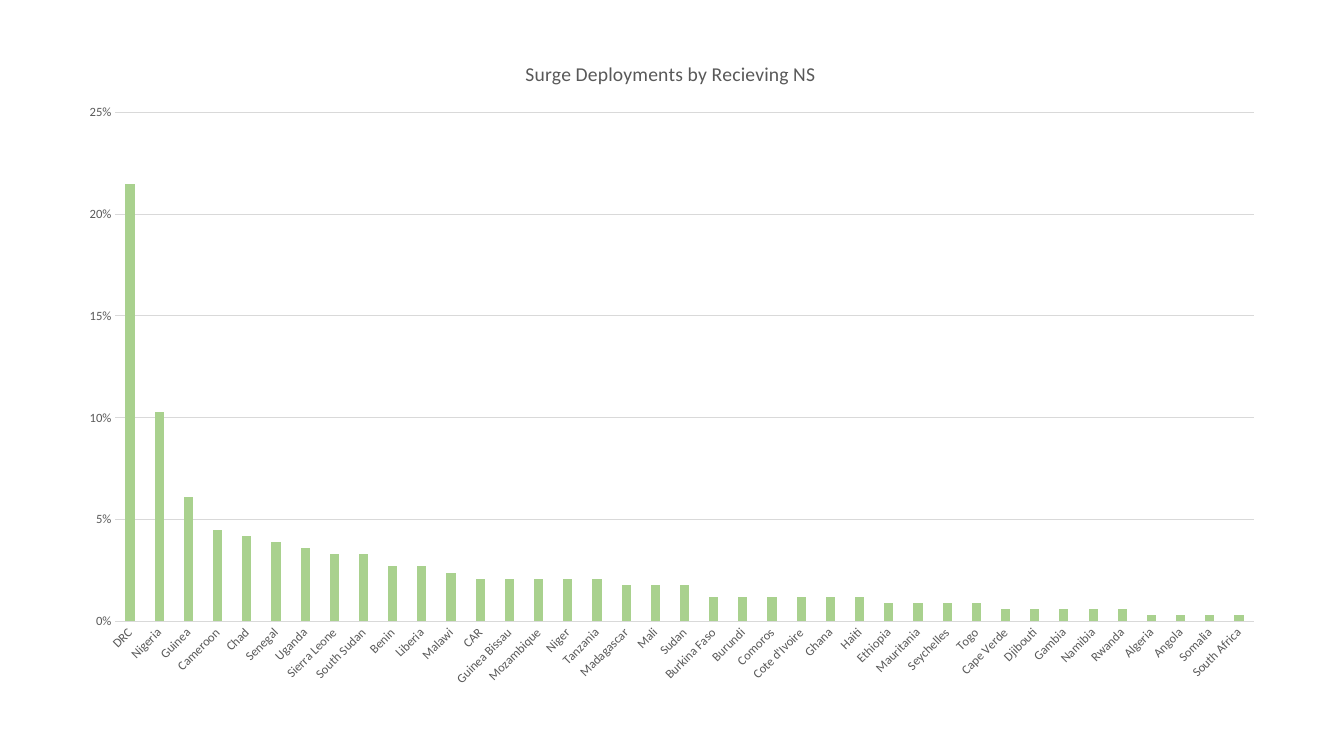
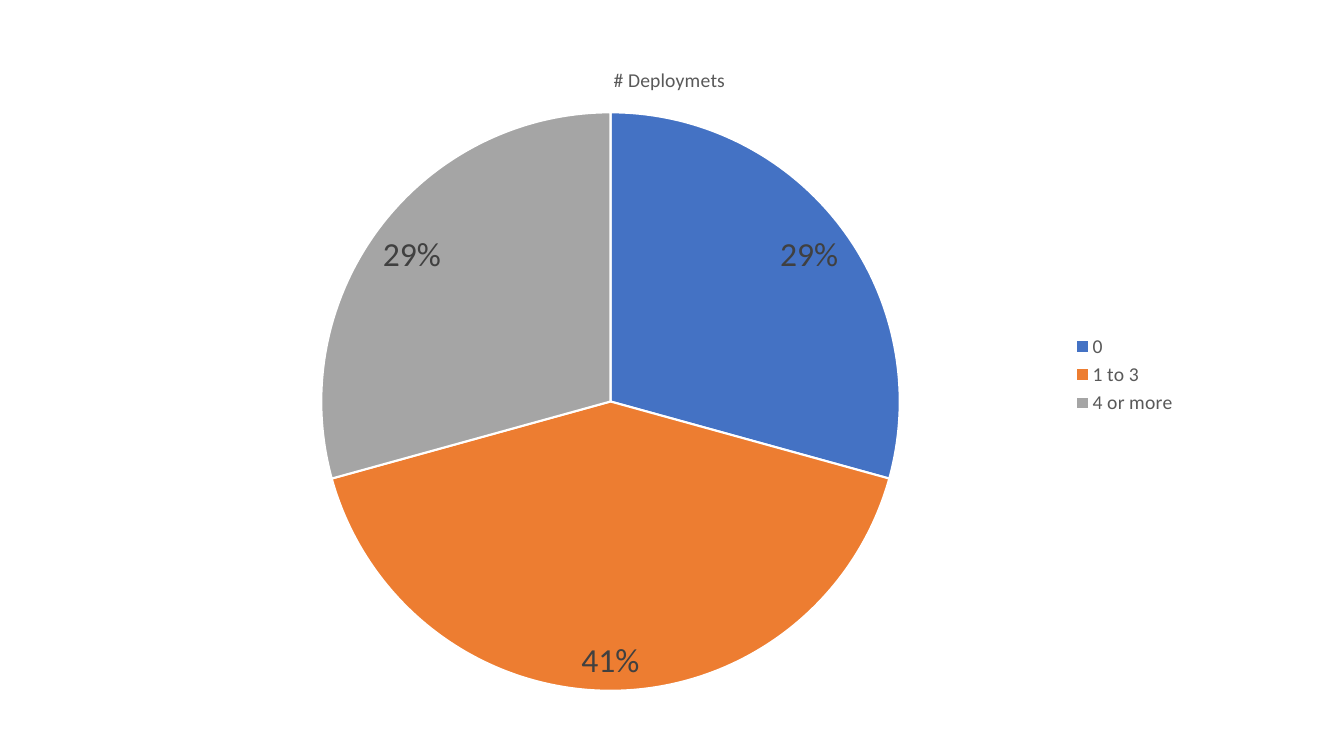
from lxml.etree import SubElement
from pptx import Presentation
from pptx.chart.data import CategoryChartData
from pptx.dml.color import RGBColor
from pptx.enum.chart import XL_CHART_TYPE, XL_LABEL_POSITION, XL_LEGEND_POSITION, XL_TICK_MARK
from pptx.oxml.ns import qn
from pptx.util import Emu, Pt

PX = 9525
FONT = "Calibri"
AUTO_ROTATION = "-60000000"
COLORS = {
    "text": "595959",
    "label": "404040",
    "grid": "D9D9D9",
    "white": "FFFFFF",
    "green": "A9D18E",
    "blue": "4472C4",
    "orange": "ED7D31",
    "gray": "A5A5A5",
}

# Countries that share a percentage of all deployments, from most to least
COUNTRIES_BY_SHARE = {
    0.215: ["DRC"],
    0.103: ["Nigeria"],
    0.061: ["Guinea"],
    0.045: ["Cameroon"],
    0.042: ["Chad"],
    0.039: ["Senegal"],
    0.036: ["Uganda"],
    0.033: ["Sierra Leone", "South Sudan"],
    0.027: ["Benin", "Liberia"],
    0.024: ["Malawi"],
    0.021: ["CAR", "Guinea Bissau", "Mozambique", "Niger", "Tanzania"],
    0.018: ["Madagascar", "Mali", "Sudan"],
    0.012: ["Burkina Faso", "Burundi", "Comoros", "Cote d'Ivoire", "Ghana", "Haiti"],
    0.009: ["Ethiopia", "Mauritania", "Seychelles", "Togo"],
    0.006: ["Cape Verde", "Djibouti", "Gambia", "Namibia", "Rwanda"],
    0.003: ["Algeria", "Angola", "Somalia", "South Africa"],
}
DEPLOYMENT_SHARES = {"0": 29, "1 to 3": 41, "4 or more": 29}


def rgb(name):
    return RGBColor.from_string(COLORS[name])


class Deck:
    def __init__(self, width, height):
        self.prs = Presentation()
        self.prs.slide_width, self.prs.slide_height = Emu(width * PX), Emu(height * PX)

    def new_slide(self):
        self.slide = self.prs.slides.add_slide(self.prs.slide_layouts[6])

    def style_font(self, font, size, color="text"):
        font.name, font.size, font.bold = FONT, Pt(size), False
        font.color.rgb = rgb(color)

    def place(self, part, box, x, y, *size):
        """Fix a title or plot area, in slide px, inside the chart's box."""
        layout = part.find(qn("c:layout"))
        if layout is None:
            layout = part.makeelement(qn("c:layout"))
            text = part.find(qn("c:tx"))
            part.insert(0 if text is None else 1, layout)
        for child in list(layout):
            layout.remove(child)
        manual = SubElement(layout, qn("c:manualLayout"))
        if size:
            SubElement(manual, qn("c:layoutTarget")).set("val", "inner")
        for side in ("x", "y"):
            SubElement(manual, qn(f"c:{side}Mode")).set("val", "edge")
        left, top, width, height = box
        lengths = (x - left, y - top, *size)
        for side, length, whole in zip("xywh", lengths, (width, height) * 2):
            SubElement(manual, qn(f"c:{side}")).set("val", str(length / whole))

    def chart(self, kind, title, values, box, plot, title_at):
        data = CategoryChartData()
        data.categories = list(values)
        data.add_series("Series 1", list(values.values()))
        chart = self.slide.shapes.add_chart(kind, *(Emu(n * PX) for n in box), data).chart
        self.style_font(chart.font, 10)
        chart.has_title = True
        chart.chart_title.include_in_layout = False
        paragraph = chart.chart_title.text_frame.paragraphs[0]
        paragraph.text = title
        self.style_font(paragraph.runs[0].font, 14)
        area = chart.plots[0]
        area.vary_by_categories = kind == XL_CHART_TYPE.PIE
        self.place(area._element.getparent(), box, *plot)
        self.place(chart.chart_title._element, box, *title_at)
        return chart

    def column_chart(self, title, values, color, **places):
        chart = self.chart(XL_CHART_TYPE.COLUMN_CLUSTERED, title, values, **places)
        chart.has_legend = False
        columns = chart.plots[0]
        columns.gap_width, columns.overlap = 219, -27
        fill = columns.series[0].format.fill
        fill.solid()
        fill.fore_color.rgb = rgb(color)

        countries, shares = chart.category_axis, chart.value_axis
        for axis in (countries, shares):
            axis.major_tick_mark = axis.minor_tick_mark = XL_TICK_MARK.NONE
            self.style_font(axis.tick_labels.font, 9)
            axis._element.find(qn("c:txPr")).find(qn("a:bodyPr")).set("rot", AUTO_ROTATION)
        for line in (countries.format.line, shares.major_gridlines.format.line):
            line.color.rgb, line.width = rgb("grid"), Pt(0.75)
        shares.format.line.fill.background()
        shares.minimum_scale, shares.maximum_scale, shares.major_unit = 0, 0.25, 0.05
        shares.tick_labels.number_format = "0%"
        shares.tick_labels.number_format_is_linked = False

    def pie_chart(self, title, values, colors, **places):
        chart = self.chart(XL_CHART_TYPE.PIE, title, values, **places)
        chart.has_legend = True
        chart.legend.position = XL_LEGEND_POSITION.RIGHT
        chart.legend.include_in_layout = False
        self.style_font(chart.legend.font, 14)
        pie = chart.plots[0]
        for index, color in enumerate(colors):
            wedge = pie.series[0].points[index].format
            wedge.fill.solid()
            wedge.fill.fore_color.rgb = rgb(color)
            wedge.line.color.rgb, wedge.line.width = rgb("white"), Pt(1.5)
        pie.has_data_labels = True
        labels = pie.data_labels
        labels.show_percentage, labels.show_value = True, False
        labels.number_format, labels.number_format_is_linked = "0%", False
        labels.position = XL_LABEL_POSITION.BEST_FIT
        self.style_font(labels.font, 24, "label")


def main():
    deck = Deck(1280, 720)

    deck.new_slide()
    share_by_country = {
        country: share for share, names in COUNTRIES_BY_SHARE.items() for country in names
    }
    deck.column_chart(
        "Surge Deployments by Recieving NS", share_by_country, "green",
        box=(61, 37, 1155, 629), plot=(110, 107, 1084, 485), title_at=(497, 54),
    )

    deck.new_slide()
    deck.pie_chart(
        "# Deploymets", DEPLOYMENT_SHARES, ("blue", "orange", "gray"),
        box=(144, 42, 987, 630), plot=(306, 107, 551, 551), title_at=(581, 60),
    )

    deck.prs.save("out.pptx")


if __name__ == "__main__":
    main()
